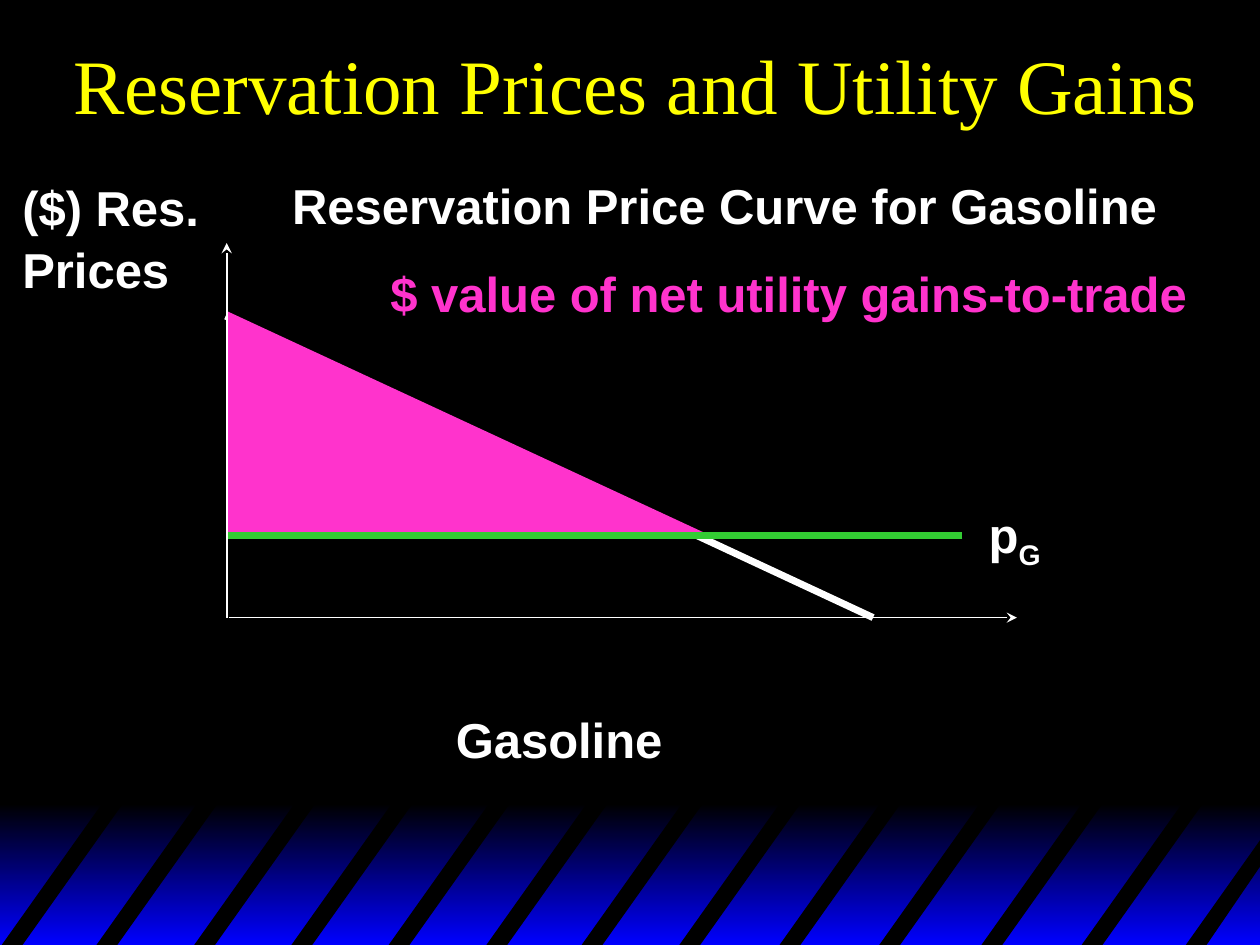
import pptx
import pptx.dml.color
import pptx.enum.shapes
import pptx.enum.text
import pptx.oxml
import pptx.oxml.ns
import pptx.util

Cm = pptx.util.Cm
Pt = pptx.util.Pt
HUES = {"black": "000000", "blue": "0000FF", "white": "FFFFFF",
        "yellow": "FFFF00", "pink": "FF33CC", "green": "33CC33"}


def hue(name):
    """Return the named colour."""
    return pptx.dml.color.RGBColor.from_string(HUES[name])


def paint(shape, name):
    """Give a shape a plain fill without line or shadow."""
    shape.shadow.inherit = False
    shape.fill.solid()
    shape.fill.fore_color.rgb = hue(name)
    shape.line.fill.background()


def write(para, text, name, size=28, face="Arial", bold=True):
    """Add one formatted run and return it."""
    run = para.add_run()
    run.text = text
    font = run.font
    font.size, font.name, font.bold = Pt(size), face, bold
    font.color.rgb = hue(name)
    return run


def label(slide, box, lines, name="white"):
    """Place a bold label whose lines are split by breaks."""
    frame = slide.shapes.add_textbox(*map(Cm, box)).text_frame
    frame.word_wrap = False
    frame.auto_size = pptx.enum.text.MSO_AUTO_SIZE.SHAPE_TO_FIT_TEXT
    para = frame.paragraphs[0]
    para.line_spacing = 1.05
    for spot, text in enumerate(lines):
        if spot:
            para.add_line_break()
        write(para, text, name)
    return para


def stroke(slide, start, end, name, width, arrow=False):
    """Draw a straight line, with a stealth head at its end if asked."""
    line = slide.shapes.add_connector(
        pptx.enum.shapes.MSO_CONNECTOR.STRAIGHT, *map(Cm, (*start, *end)))
    line.line.color.rgb = hue(name)
    line.line.width = Pt(width)
    props = line._element.spPr
    if arrow:
        tip = pptx.oxml.parse_xml(
            f'<a:tailEnd {pptx.oxml.ns.nsdecls("a")} type="stealth"/>')
        props.find(pptx.oxml.ns.qn("a:ln")).append(tip)
    props.append(pptx.oxml.parse_xml(
        f'<a:effectLst {pptx.oxml.ns.nsdecls("a")}/>'))


def band(slide, box):
    """Draw the blue fade with its slanted black stripes."""
    left, top, width, height = box
    fade = slide.shapes.add_shape(
        pptx.enum.shapes.MSO_SHAPE.RECTANGLE,
        Cm(left), Cm(top + 0.1), Cm(width), Cm(height - 0.15))
    paint(fade, "black")
    fade.fill.gradient()
    fade.fill.gradient_angle = 270
    for stop, name, place in zip(fade.fill.gradient_stops, ("black", "blue"), (0, 1)):
        stop.color.rgb = hue(name)
        stop.position = place
    foot, lean, thick = top + height, 2.13, 0.42
    feet = (0, 1.91, 3.88, 5.84, 7.8, 9.77, 11.69, 13.66, 15.68, 17.69, 19.75, 21.77)
    stripes = [[(x, foot), (x + lean, top), (x + lean + thick, top), (x + thick, foot)]
               for x in feet]
    stripes.append([(23.87, foot), (width, top + 0.77), (width, top + 1.3), (24.29, foot)])
    for points in stripes:
        first, *rest = [(Cm(left + x), Cm(y)) for x, y in points]
        pen = slide.shapes.build_freeform(*first)
        pen.add_line_segments(rest)
        paint(pen.convert_to_shape(), "black")


def head(slide, box):
    """Place and fill the title."""
    title = slide.shapes.title
    title.left, title.top, title.width, title.height = map(Cm, box)
    frame = title.text_frame
    frame.word_wrap = True
    frame.vertical_anchor = pptx.enum.text.MSO_ANCHOR.MIDDLE
    para = frame.paragraphs[0]
    para.alignment = pptx.enum.text.PP_ALIGN.CENTER
    write(para, "Reservation Prices and Utility Gains", "yellow", 44, "Times New Roman", False)


def graph(slide, box):
    """Draw the price curve, the gains triangle, the axes and their labels."""
    left, top, width, height = box

    def at(x, y, *size):
        """Shift a point or box to the graph's corner."""
        return (left + x, top + y, *size)

    price = 5.89
    stroke(slide, at(0.05, height), at(width, height), "white", 1, True)
    label(slide, at(4.37, 9.22, 4.67, 1.45), ["Gasoline"])
    label(slide, at(-4.37, -1.5, 4.09, 2.64), ["($) Res.", "Prices"])
    stroke(slide, at(-0.02, 1.47), at(13.03, height), "white", 4)
    para = label(slide, at(15.11, 5.08, 1.55, 1.6), ["p"])
    write(para, "G", "white")._r.get_or_add_rPr().set("baseline", "-25000")
    gains = slide.shapes.add_shape(
        pptx.enum.shapes.MSO_SHAPE.RIGHT_TRIANGLE,
        *map(Cm, at(0, 1.37, 9.63, 4.47)))
    paint(gains, "pink")
    stroke(slide, at(14.83, price), at(0, price), "green", 4)
    label(slide, at(1.07, -1.55, 17.96, 1.45), ["Reservation Price Curve for Gasoline"])
    label(slide, at(3.05, 0.23, 16.56, 1.45), ["$ value of net utility gains-to-trade"], "pink")
    stroke(slide, at(0, height), at(0, 0), "white", 1, True)


def main():
    """Build and save the slide."""
    deck = pptx.Presentation()
    deck.slide_width, deck.slide_height = Cm(25.4), Cm(19.05)
    slide = deck.slides.add_slide(deck.slide_layouts[5])
    slide.background.fill.solid()
    slide.background.fill.fore_color.rgb = hue("black")
    band(slide, (0, 16.1, 25.45, 3))
    head(slide, (1.07, 0, 23.5, 3.38))
    graph(slide, (4.57, 4.9, 15.93, 7.55))
    deck.save("out.pptx")


if __name__ == "__main__":
    main()
